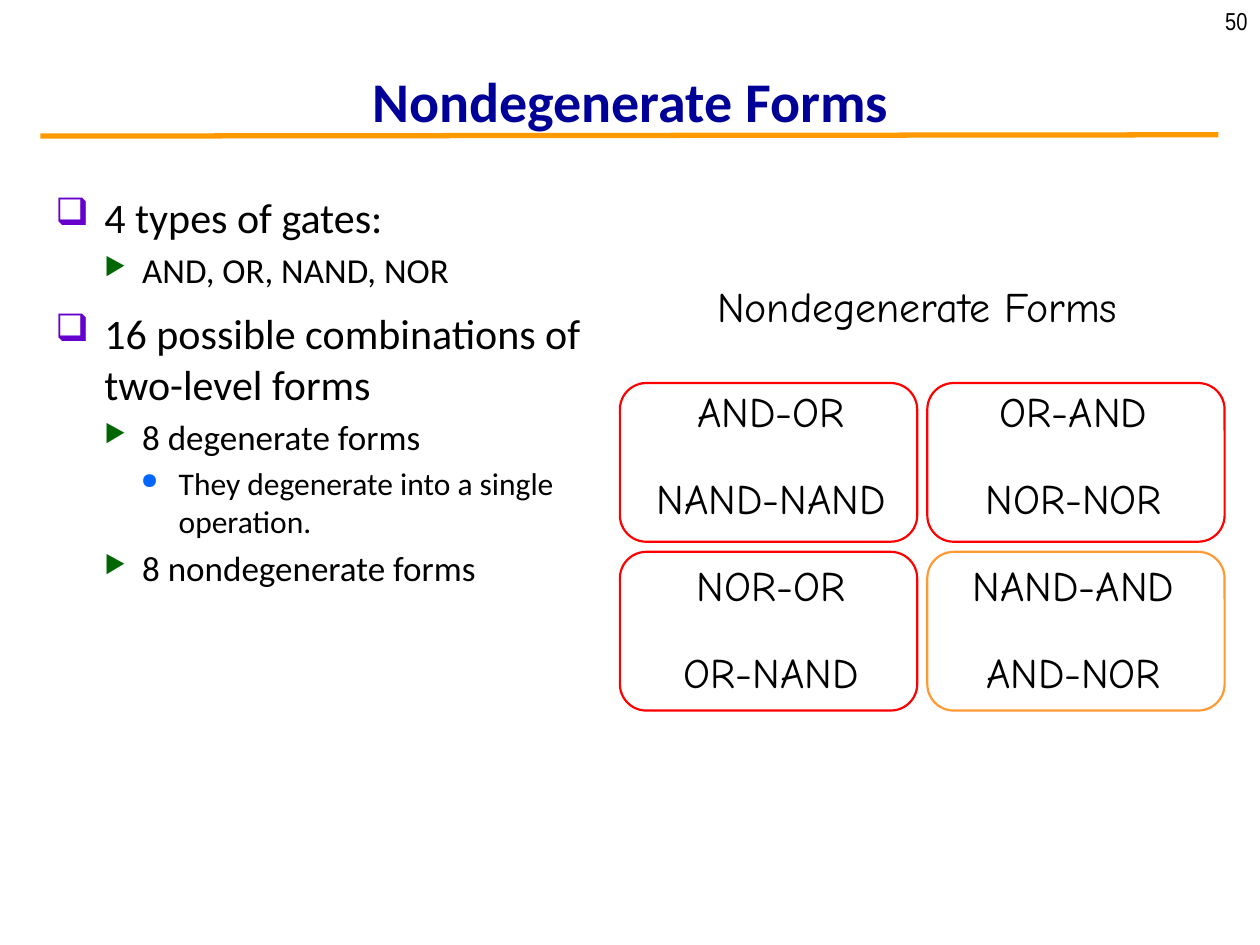
import dataclasses

import lxml.etree
import pptx
import pptx.dml.color
import pptx.enum.shapes
import pptx.enum.text
import pptx.oxml.ns
import pptx.util

ALIGN = pptx.enum.text.PP_ALIGN
ANCHOR = pptx.enum.text.MSO_ANCHOR


@dataclasses.dataclass(frozen=True)
class Bullet:
    """Look of one outline level: mark, colour, scale, text size and indents."""
    mark: str
    color: str
    scale: int
    size: int
    left: float
    hanging: float
    space_share: float


@dataclasses.dataclass(frozen=True)
class Theme:
    """Colours, fonts and type sizes of the slide."""
    ink: str = "000000"
    title: str = "000099"
    rule: str = "FF9900"
    red: str = "FF0000"
    orange: str = "FF9933"
    body_font: str = "Calibri"
    hand_font: str = "Comic Neue"
    number_font: str = "Arial Narrow"
    title_size: int = 32
    hand_size: int = 24
    number_size: int = 14
    bullets: tuple = (
        Bullet("❑", "6600CC", 90, 24, 0.39, 0.39, 0.4),
        Bullet("▶", "006600", 70, 20, 0.69, 0.3, 0.2),
        Bullet("●", "0066FF", 70, 18, 0.98, 0.3, 0.2),
    )


class SlideBuilder:
    """Places styled elements on a grid of 100 columns by 75 rows."""

    def __init__(self, presentation, theme):
        """Add a blank slide and remember its grid and theme."""
        self.theme = theme
        self.column = presentation.slide_width / 100
        self.row = presentation.slide_height / 75
        self.shapes = presentation.slides.add_slide(presentation.slide_layouts[6]).shapes

    def place(self, left, top, width, height):
        """Turn grid columns and rows into slide lengths."""
        return (round(left * self.column), round(top * self.row),
                round(width * self.column), round(height * self.row))

    def style(self, paragraph, font, size, color=None, bold=False, align=ALIGN.LEFT):
        """Format the runs and alignment of a paragraph."""
        paragraph.alignment = align
        for run in paragraph.runs:
            run.font.name = font
            run.font.size = pptx.util.Pt(size)
            run.font.bold = bold
            run.font.color.rgb = pptx.dml.color.RGBColor.from_string(color or self.theme.ink)

    def text(self, box, text, font, size, wrap=True, anchor=ANCHOR.TOP, **style):
        """Add a text box with one paragraph."""
        frame = self.shapes.add_textbox(*self.place(*box)).text_frame
        frame.word_wrap = wrap
        frame.vertical_anchor = anchor
        frame.text = text
        self.style(frame.paragraphs[0], font, size, **style)

    def outline(self, box, items):
        """Add a bulleted text box from pairs of level and text."""
        frame = self.shapes.add_textbox(*self.place(*box)).text_frame
        frame.word_wrap = True
        frame.text = "\n".join(text for _, text in items)
        for paragraph, (level, _) in zip(frame.paragraphs, items):
            bullet = self.theme.bullets[level]
            paragraph.level = level
            paragraph.space_before = pptx.util.Pt(bullet.size * bullet.space_share)
            self.style(paragraph, self.theme.body_font, bullet.size)
            self.mark(paragraph, bullet)

    def mark(self, paragraph, bullet):
        """Give a paragraph its bullet and hanging indent."""
        qn = pptx.oxml.ns.qn
        properties = paragraph._p.get_or_add_pPr()
        properties.set("marL", str(pptx.util.Inches(bullet.left)))
        properties.set("indent", str(-pptx.util.Inches(bullet.hanging)))
        color = lxml.etree.SubElement(properties, qn("a:buClr"))
        lxml.etree.SubElement(color, qn("a:srgbClr"), val=bullet.color)
        lxml.etree.SubElement(properties, qn("a:buSzPct"), val=str(bullet.scale * 1000))
        lxml.etree.SubElement(properties, qn("a:buChar"), char=bullet.mark)

    def table(self, box, rows):
        """Add an unfilled table of centred text."""
        table = self.shapes.add_table(len(rows), len(rows[0]), *self.place(*box)).table
        table.first_row = False
        table.horz_banding = False
        for table_row, texts in zip(table.rows, rows):
            for cell, text in zip(table_row.cells, texts):
                cell.fill.background()
                cell.text_frame.text = text
                self.style(cell.text_frame.paragraphs[0], self.theme.hand_font,
                           self.theme.hand_size, align=ALIGN.CENTER)

    def frame(self, box, color):
        """Add an unfilled rounded frame."""
        shape = self.shapes.add_shape(
            pptx.enum.shapes.MSO_SHAPE.ROUNDED_RECTANGLE, *self.place(*box))
        shape.shadow.inherit = False
        shape.fill.background()
        shape.line.color.rgb = pptx.dml.color.RGBColor.from_string(color)
        shape.line.width = pptx.util.Pt(1.25)

    def rule(self, start, end, color, width):
        """Add a straight line between two grid points."""
        line = self.shapes.add_connector(
            pptx.enum.shapes.MSO_CONNECTOR.STRAIGHT, *self.place(*start, *end))
        line.line.color.rgb = pptx.dml.color.RGBColor.from_string(color)
        line.line.width = pptx.util.Pt(width)
        lxml.etree.SubElement(line._element.spPr, pptx.oxml.ns.qn("a:effectLst"))


def main():
    """Build and save the slide."""
    presentation = pptx.Presentation()
    presentation.slide_width = pptx.util.Inches(10)
    presentation.slide_height = pptx.util.Inches(7.5)
    theme = Theme()
    slide = SlideBuilder(presentation, theme)

    slide.rule((3.2, 10.8), (96.7, 10.7), theme.rule, 3)
    slide.text((74.4, 0, 25.6, 3.1), "50", theme.number_font, theme.number_size,
               align=ALIGN.RIGHT)
    slide.text((3.4, 3.6, 93.3, 8.7), "Nondegenerate Forms", theme.body_font,
               theme.title_size, anchor=ANCHOR.MIDDLE, color=theme.title, bold=True,
               align=ALIGN.CENTER)
    slide.outline((3.4, 14.7, 45.9, 56), [
        (0, "4 types of gates:"),
        (1, "AND, OR, NAND, NOR"),
        (0, "16 possible combinations of two-level forms"),
        (1, "8 degenerate forms"),
        (2, "They degenerate into a single operation."),
        (1, "8 nondegenerate forms"),
    ])

    left, top = 49.2, 30.4
    slide.table((left, top, 48, 27.7), [
        ("AND-OR", "OR-AND"),
        ("NAND-NAND", "NOR-NOR"),
        ("NOR-OR", "NAND-AND"),
        ("OR-NAND", "AND-NOR"),
    ])
    slide.text((54.6, 21.8, 36.4, 5), "Nondegenerate Forms", theme.hand_font,
               theme.hand_size, wrap=False, align=ALIGN.CENTER)
    width, height, gap = 23.6, 12.6, 0.8
    for index, color in enumerate((theme.red, theme.red, theme.red, theme.orange)):
        row, column = divmod(index, 2)
        slide.frame((left + column * (width + gap), top + row * (height + gap),
                     width, height), color)

    presentation.save("out.pptx")


if __name__ == "__main__":
    main()
